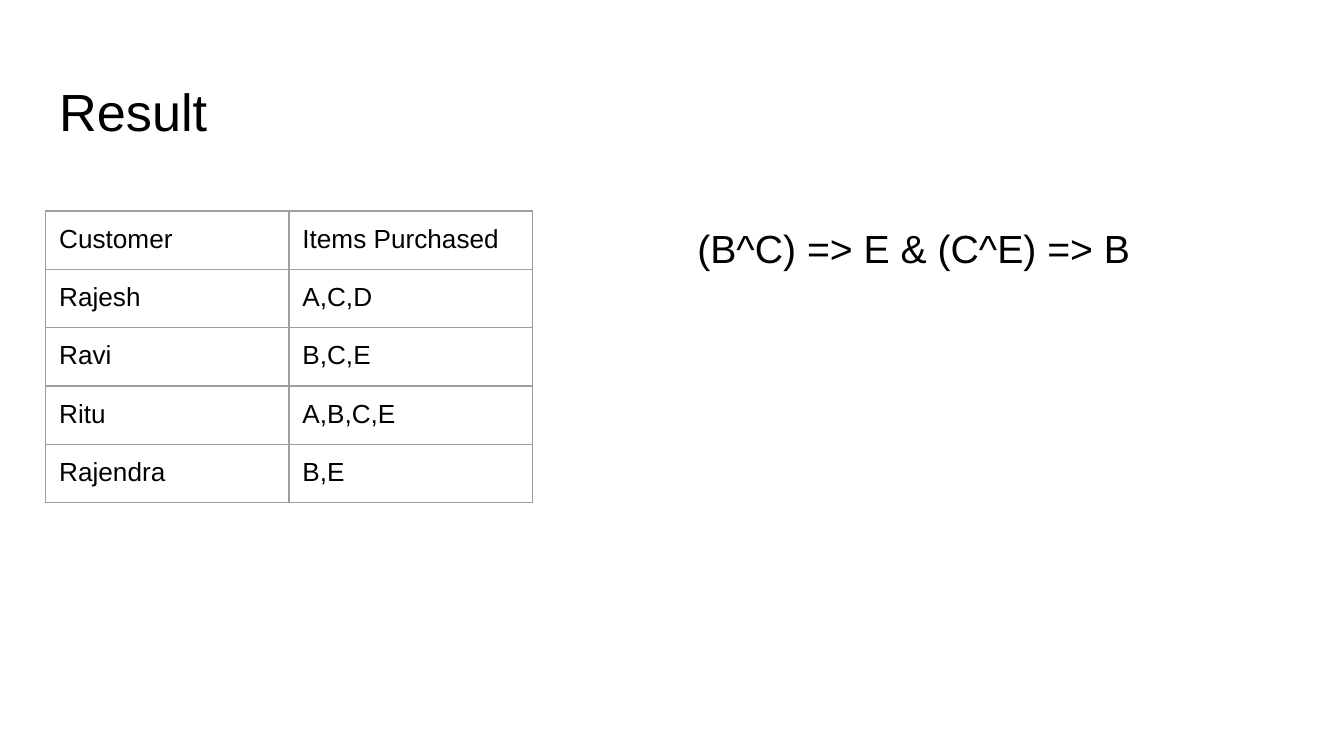
from lxml import etree
from pptx import Presentation
from pptx.dml.color import RGBColor
from pptx.enum.text import MSO_ANCHOR, PP_ALIGN
from pptx.oxml.ns import qn
from pptx.util import Inches, Pt

TOP = MSO_ANCHOR.TOP
LEFT = PP_ALIGN.LEFT
TITLE_ONLY = 5

PURCHASES = [
    ("Customer", "Items Purchased"),
    ("Rajesh", "A,C,D"),
    ("Ravi", "B,C,E"),
    ("Ritu", "A,B,C,E"),
    ("Rajendra", "B,E"),
]


def rgb(value):
    return RGBColor.from_string(value)


def write(tf, text, size=14, color="000000", font="Arial"):
    p = tf.paragraphs[0]
    p.alignment = LEFT
    r = p.add_run()
    r.text = text
    r.font.name = font
    r.font.size = Pt(size)
    r.font.color.rgb = rgb(color)


class SlideBuilder:
    margin = Inches(0.1)
    border = "9E9E9E"
    border_width = Pt(0.75)

    def __init__(self, prs):
        self.s = prs.slides.add_slide(prs.slide_layouts[TITLE_ONLY])

    def frame(self, sp):
        tf = sp.text_frame
        tf.word_wrap = True
        tf.vertical_anchor = TOP
        self.pad(tf)
        return tf

    def pad(self, box):
        box.margin_left = box.margin_right = self.margin
        box.margin_top = box.margin_bottom = self.margin

    def title(self, text, x, y, w, h, **style):
        sp = self.s.shapes.title
        sp.left, sp.top, sp.width, sp.height = map(Inches, (x, y, w, h))
        write(self.frame(sp), text, **style)

    def text(self, text, x, y, w, h, **style):
        sp = self.s.shapes.add_textbox(*map(Inches, (x, y, w, h)))
        write(self.frame(sp), text, **style)

    def table(self, rows, x, y, w, h, col_width, row_height, **style):
        box = tuple(map(Inches, (x, y, w, h)))
        sp = self.s.shapes.add_table(len(rows), len(rows[0]), *box)
        table = sp.table
        table.first_row = table.horz_banding = False
        for column in table.columns:
            column.width = Inches(col_width)
        for row in table.rows:
            row.height = Inches(row_height)
        sp.width, sp.height = box[2:]
        for i, row in enumerate(rows):
            for j, text in enumerate(row):
                cell = table.cell(i, j)
                self.pad(cell)
                write(cell.text_frame, text, **style)
                self.cell_borders(cell)
                cell.fill.background()

    def cell_borders(self, cell):
        tc_pr = cell._tc.get_or_add_tcPr()
        for side in ("a:lnL", "a:lnR", "a:lnT", "a:lnB"):
            ln = etree.SubElement(tc_pr, qn(side), w=str(self.border_width))
            fill = etree.SubElement(ln, qn("a:solidFill"))
            etree.SubElement(fill, qn("a:srgbClr"), val=self.border)


def main():
    prs = Presentation()
    prs.slide_width = Inches(10)
    prs.slide_height = prs.slide_width * 9 // 16
    slide = SlideBuilder(prs)
    slide.title("Result", 0.34, 0.49, 9.32, 0.63, size=28)
    slide.text("(B^C) => E & (C^E) => B", 5.09, 1.57, 3.82, 3.74, size=21)
    slide.table(PURCHASES, 0.34, 1.57, 3.28, 3.28, 1.81, 0.42, size=14)
    prs.save("out.pptx")


if __name__ == "__main__":
    main()
